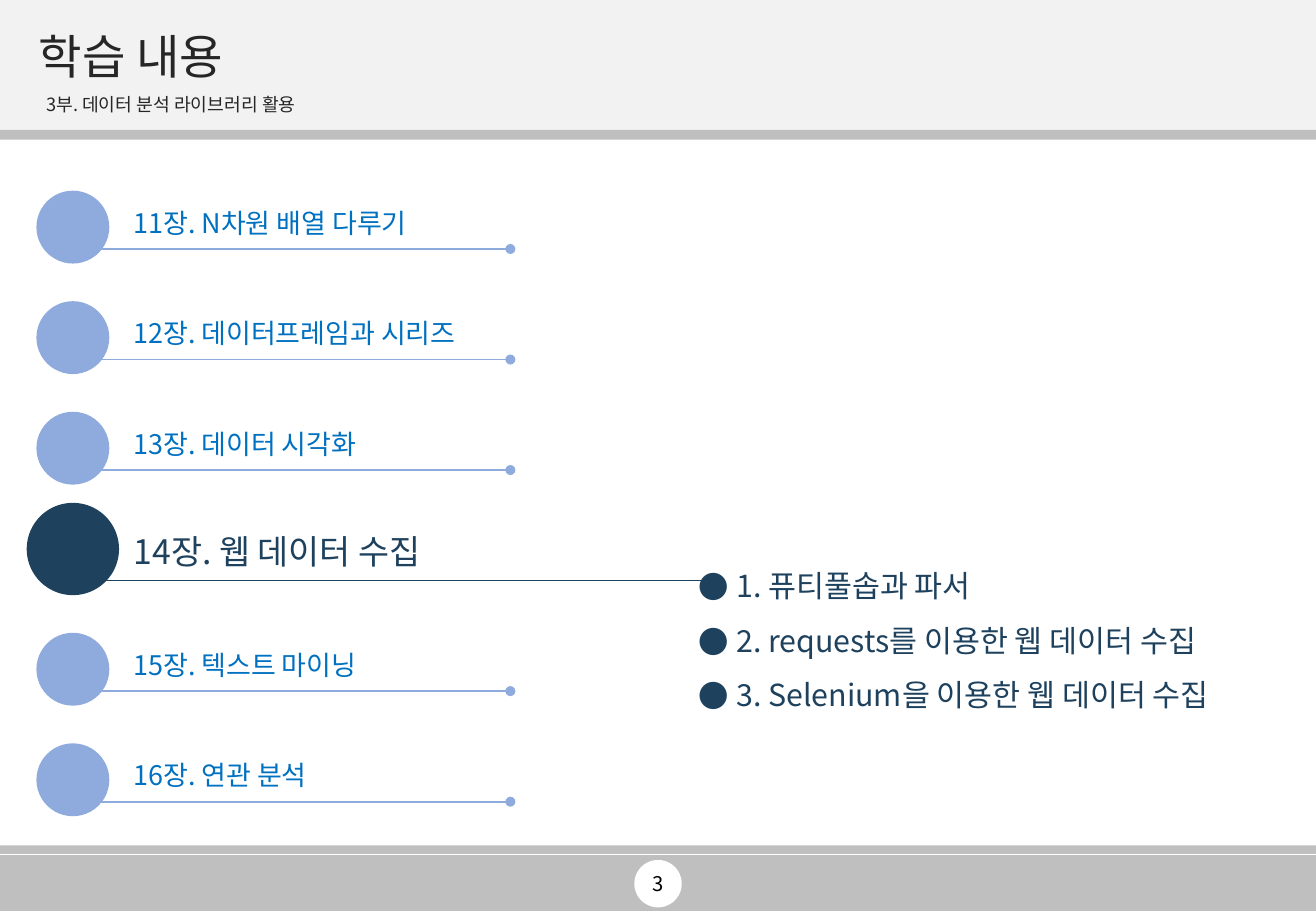
from lxml.etree import SubElement
from pptx import Presentation
from pptx.dml.color import RGBColor
from pptx.enum.shapes import MSO_CONNECTOR as Line, MSO_SHAPE as Shape
from pptx.enum.text import MSO_ANCHOR as Anchor, PP_ALIGN as Align
from pptx.oxml.ns import qn
from pptx.util import Inches, Pt

FONT = "Noto Sans CJK KR"
WHITE = RGBColor(0xFF, 0xFF, 0xFF)
BLACK = RGBColor(0, 0, 0)
LIGHT_GRAY = RGBColor(0xF2, 0xF2, 0xF2)
GRAY = RGBColor(0xBF, 0xBF, 0xBF)
INK = RGBColor(0x26, 0x26, 0x26)
NAVY = RGBColor(0x1E, 0x41, 0x5D)
PALE_BLUE = RGBColor(0x8F, 0xAA, 0xDC)
BLUE = RGBColor(0x00, 0x70, 0xC0)

deck = Presentation()
deck.slide_width, deck.slide_height = Inches(10.83), Inches(7.5)
page = deck.slides.add_slide(deck.slide_layouts[6])


def add_filled(kind, left, top, width, height, color):
    shape = page.shapes.add_shape(
        kind, Inches(left), Inches(top), Inches(width), Inches(height))
    shape.shadow.inherit = False
    shape.fill.solid()
    shape.fill.fore_color.rgb = color
    shape.line.fill.background()


def add_text(left, top, width, height, lines, size, color, anchor=Anchor.TOP):
    box = page.shapes.add_textbox(
        Inches(left), Inches(top), Inches(width), Inches(height))
    frame = box.text_frame
    frame.word_wrap = True
    frame.vertical_anchor = anchor
    for number, line in enumerate(lines):
        para = frame.add_paragraph() if number else frame.paragraphs[0]
        span = para.add_run()
        span.text = line
        span.font.name = FONT
        span.font.size = Pt(size)
        span.font.color.rgb = color
        SubElement(span.font._element, qn("a:ea"), typeface=FONT)
    return frame


for top, height, color in [(0, 1.07, LIGHT_GRAY), (1.07, 0.08, GRAY),
                           (6.96, 0.07, GRAY), (7.04, 0.46, GRAY)]:
    add_filled(Shape.RECTANGLE, 0, top, 10.83, height, color)
add_filled(Shape.OVAL, 5.22, 7.08, 0.39, 0.39, WHITE)

title = add_text(0.22, 0.21, 10.39, 0.55, ["학습 내용"], 28, INK, Anchor.MIDDLE)
title.paragraphs[0].line_spacing = 0.9
subtitle = add_text(0.3, 0.76, 10.32, 0.24,
                    ["3부. 데이터 분석 라이브러리 활용"], 10.8, INK, Anchor.MIDDLE)
subtitle.margin_left = Inches(0.08)
subtitle.paragraphs[0].line_spacing = 0.7
subtitle.paragraphs[0].space_before = Pt(8.1)
page_number = add_text(4.2, 7.08, 2.44, 0.39, ["3"], 12, BLACK, Anchor.MIDDLE)
page_number.paragraphs[0].alignment = Align.CENTER

chapters = ["11장. N차원 배열 다루기", "12장. 데이터프레임과 시리즈", "13장. 데이터 시각화",
            "14장. 웹 데이터 수집", "15장. 텍스트 마이닝", "16장. 연관 분석"]
CURRENT = 3
STEP = 0.91

for index, chapter in enumerate(chapters):
    offset = index * STEP
    if index == CURRENT:
        accent, text_color, size, rule_end = NAVY, NAVY, 20, 5.83
        add_filled(Shape.OVAL, 0.22, 4.14, 0.76, 0.76, accent)
        text_top = 4.32
    else:
        accent, text_color, size, rule_end = PALE_BLUE, BLUE, 16, 4.2
        add_filled(Shape.OVAL, 0.3, 1.57 + offset, 0.6, 0.6, accent)
        text_top = 1.65 + offset
    rule_top = Inches(2.05 + offset)
    rule = page.shapes.add_connector(
        Line.STRAIGHT, Inches(0.79), rule_top, Inches(rule_end), rule_top)
    rule.line.color.rgb = accent
    rule.line.width = Pt(1)
    SubElement(rule.line._get_or_add_ln(), qn("a:tailEnd"), type="oval")
    SubElement(rule._element.spPr, qn("a:effectLst"))
    add_text(1, text_top, 4.82, 0.4, [chapter], size, text_color)

sections = add_text(5.65, 4.47, 5.18, 1.46,
                    ["1. 퓨티풀솝과 파서", "2. requests를 이용한 웹 데이터 수집",
                     "3. Selenium을 이용한 웹 데이터 수집"], 18, NAVY)
for para in sections.paragraphs:
    para.line_spacing = 1.5
    props = para._p.get_or_add_pPr()
    props.set("marL", str(Inches(0.31)))
    props.set("indent", str(Inches(-0.31)))
    SubElement(props, qn("a:buFont"), typeface=FONT)
    SubElement(props, qn("a:buChar"), char="●")

deck.save("out.pptx")
